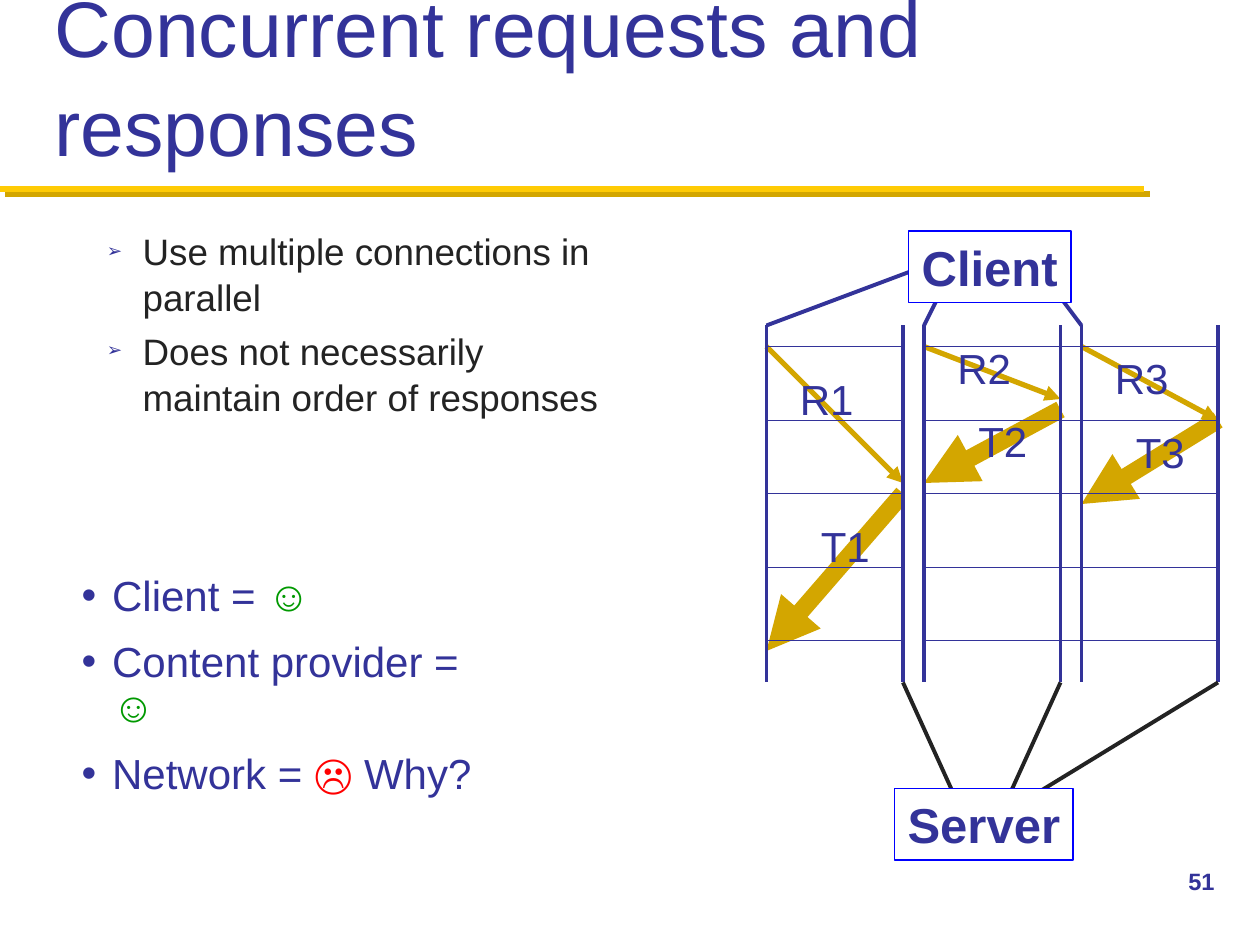
from lxml import etree
from pptx import Presentation
from pptx.dml.color import RGBColor
from pptx.enum.dml import MSO_LINE
from pptx.enum.shapes import MSO_CONNECTOR, MSO_SHAPE
from pptx.enum.text import MSO_ANCHOR, PP_ALIGN
from pptx.oxml.ns import qn
from pptx.util import Emu, Pt

PX = 7620  # EMU per px: 120 px to the inch
FONT = "Arial"
STRAIGHT = MSO_CONNECTOR.STRAIGHT
RECTANGLE = MSO_SHAPE.RECTANGLE
DOTTED = MSO_LINE.ROUND_DOT
TOP, MIDDLE, BOTTOM = MSO_ANCHOR.TOP, MSO_ANCHOR.MIDDLE, MSO_ANCHOR.BOTTOM
CENTER = PP_ALIGN.CENTER

NAVY = RGBColor(0x33, 0x33, 0x99)
INK = RGBColor(0x23, 0x23, 0x23)
YELLOW = RGBColor(0xFF, 0xCB, 0x05)
GOLD = RGBColor(0xD3, 0xA6, 0x00)
GREEN = RGBColor(0x00, 0x99, 0x00)
RED = RGBColor(0xFF, 0x00, 0x00)
BLUE = RGBColor(0x00, 0x00, 0xFF)
WHITE = RGBColor(0xFF, 0xFF, 0xFF)


def px(*lengths):
    return [Emu(length * PX) for length in lengths]


def style(font, size, color, bold=False):
    font.name, font.size, font.bold = FONT, Pt(size), bold
    font.color.rgb = color


def add_text(slide, box, text, size, color, bold=False, anchor=TOP, wrap=True):
    frame = slide.shapes.add_textbox(*px(*box)).text_frame
    frame.word_wrap, frame.vertical_anchor = wrap, anchor
    frame.text = text
    for paragraph in frame.paragraphs:
        for run in paragraph.runs:
            style(run.font, size, color, bold)
    return frame


def add_bullet(paragraph, char, indent, color, percent=100):
    properties = paragraph._p.get_or_add_pPr()
    properties.set("marL", str(indent * PX))
    properties.set("indent", str(-indent * PX))
    bullet_color = etree.SubElement(properties, qn("a:buClr"))
    etree.SubElement(bullet_color, qn("a:srgbClr"), val=str(color))
    etree.SubElement(properties, qn("a:buSzPct"), val=str(percent * 1000))
    etree.SubElement(properties, qn("a:buFont"), typeface=FONT)
    etree.SubElement(properties, qn("a:buChar"), char=char)


def add_line(slide, start, end, color, width, arrow=False, dash=None):
    connector = slide.shapes.add_connector(STRAIGHT, *px(*start, *end))
    connector.line.color.rgb, connector.line.width = color, Pt(width)
    if dash:
        connector.line.dash_style = dash
    if arrow:
        etree.SubElement(connector.line._get_or_add_ln(), qn("a:tailEnd"), type="triangle")
    etree.SubElement(connector._element.spPr, qn("a:effectLst"))


def add_box(slide, box):
    shape = slide.shapes.add_shape(RECTANGLE, *px(*box))
    shape.shadow.inherit = False
    shape.fill.solid()
    shape.fill.fore_color.rgb = WHITE
    shape.line.fill.background()
    return shape


def add_title(slide, box):
    left, top, width, height = box
    # Rule with its offset shade
    rule_y = top + height + 10
    for offset, color in ((5, GOLD), (0, YELLOW)):
        add_line(slide, (offset, rule_y + offset), (1090 + offset, rule_y + offset), color, 3.5)
    frame = add_text(slide, box, "Concurrent requests and responses", 45, NAVY, anchor=BOTTOM)
    frame.paragraphs[0].line_spacing = 1.05


def add_approach(slide, box):
    points = ("Use multiple connections in parallel",
              "Does not necessarily maintain order of responses")
    frame = add_text(slide, box, "\n".join(points), 21, INK)
    for index, paragraph in enumerate(frame.paragraphs):
        add_bullet(paragraph, "➢", 34, NAVY, 50)
        paragraph.line_spacing = 1.05
        paragraph.space_before = Pt(4 if index else 0)


def add_verdicts(slide, box):
    verdicts = (
        (("Client = ", NAVY), ("☺", GREEN)),
        (("Content provider = ", NAVY), ("☺", GREEN)),
        (("Network = ", NAVY), ("☹", RED), (" Why?", NAVY)),
    )
    frame = add_text(slide, box, "", 24, NAVY, anchor=MIDDLE)
    for index, parts in enumerate(verdicts):
        paragraph = frame.add_paragraph() if index else frame.paragraphs[0]
        add_bullet(paragraph, "•", 29, NAVY)
        paragraph.line_spacing = 0.9
        paragraph.space_before = Pt(12 if index else 0)
        for text, color in parts:
            run = paragraph.add_run()
            run.text = text
            style(run.font, 24, color)


def add_party(slide, box, name):
    party = add_box(slide, box)
    party.line.color.rgb, party.line.width = BLUE, Pt(0.75)
    frame = party.text_frame
    frame.word_wrap, frame.vertical_anchor = False, MIDDLE
    frame.text = name
    frame.paragraphs[0].alignment = CENTER
    style(frame.paragraphs[0].runs[0].font, 28, NAVY, True)


def add_timeline(slide, box):
    left, top, width, height = box
    lane_width, pitch = 130, 150
    lanes = [left + pitch * index for index in range(3)]
    axis_top, axis_bottom = top + 90, top + 430

    # Per lane: start and end of each message, then its label's offset
    requests = ((110, 240, 20, 130), (110, 160, 20, 100), (110, 180, 20, 110))
    transfers = ((250, 400, 40, 270), (170, 240, 40, 170), (180, 260, 40, 180))
    for letter, messages, weight in (("R", requests, 3), ("T", transfers, 10)):
        for number, (lane, message) in enumerate(zip(lanes, messages), 1):
            begin, finish, label_x, label_y = message
            sides = (lane, lane + lane_width)
            source, target = sides if letter == "R" else sides[::-1]
            add_line(slide, (source, top + begin), (target, top + finish), GOLD, weight, arrow=True)
            add_text(slide, (lane + label_x, top + label_y, 75, 61),
                     f"{letter}{number}", 24, NAVY, wrap=False)

    # Time grid and lane sides
    for step in range(5):
        y = top + 110 + 70 * step
        add_line(slide, (left, y), (left + width, y), NAVY, 0.25, dash=DOTTED)
    for lane in lanes:
        for x in (lane, lane + lane_width):
            add_line(slide, (x, axis_top), (x, axis_bottom), NAVY, 2.25)

    # Links from the lanes to both parties
    client_ends = ((160, 30), (170, 50), (270, 50))
    server_ends = (180, 230, 250)
    for lane, (client_x, client_y), server_x in zip(lanes, client_ends, server_ends):
        add_line(slide, (lane, axis_top), (left + client_x, top + client_y), NAVY, 2.25)
        add_line(slide, (lane + lane_width, axis_bottom),
                 (left + server_x, top + 540), INK, 2.25)

    # Clear gap between the first two lanes
    add_box(slide, (left + lane_width + 2, axis_top + 10, 16, 330))
    add_party(slide, (left + 135, top, 155, 68), "Client")
    add_party(slide, (left + 122, top + height - 68, 170, 68), "Server")


def main():
    presentation = Presentation()
    presentation.slide_width, presentation.slide_height = px(1200, 900)
    slide = presentation.slides.add_slide(presentation.slide_layouts[6])
    add_title(slide, (40, 20, 1120, 150))
    add_approach(slide, (90, 210, 510, 580))
    add_verdicts(slide, (66, 558, 430, 192))
    add_timeline(slide, (730, 220, 430, 599))
    add_text(slide, (1120, 820, 80, 60), "51", 13.5, NAVY, bold=True)  # Page number
    presentation.save("out.pptx")


if __name__ == "__main__":
    main()
